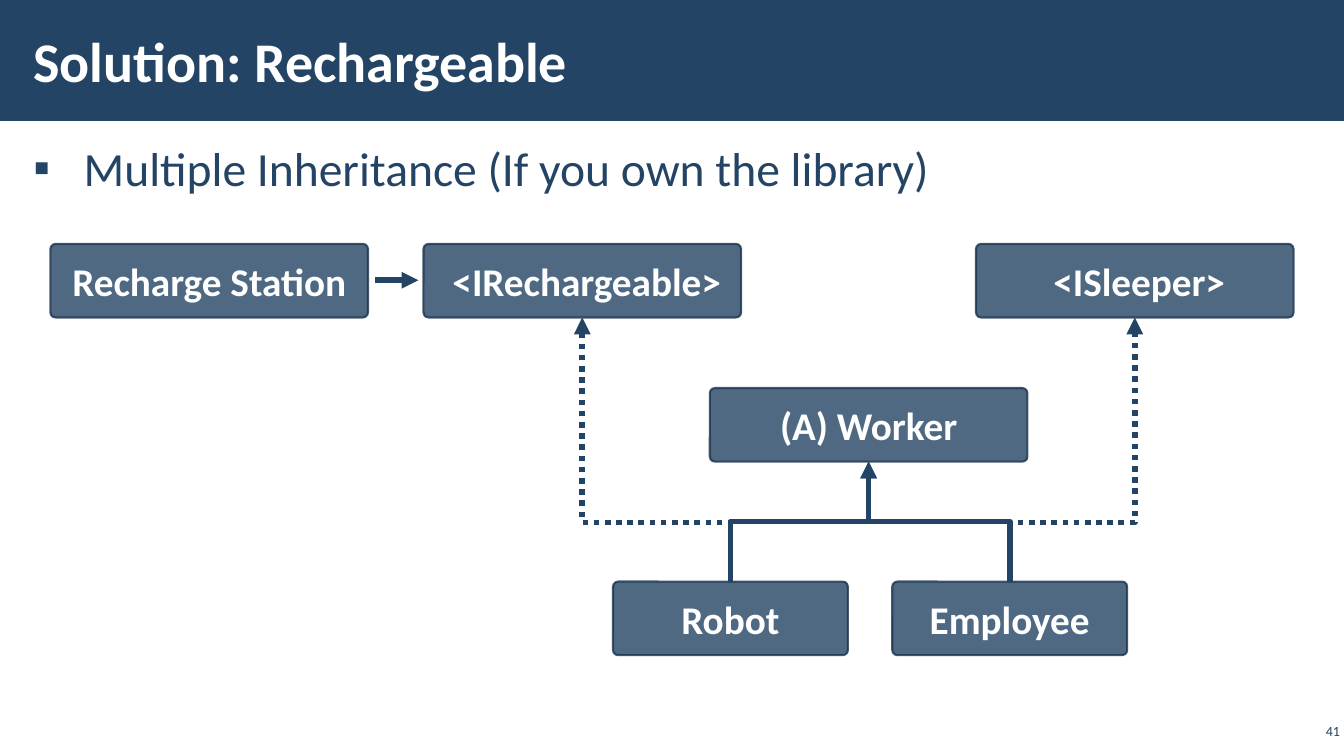
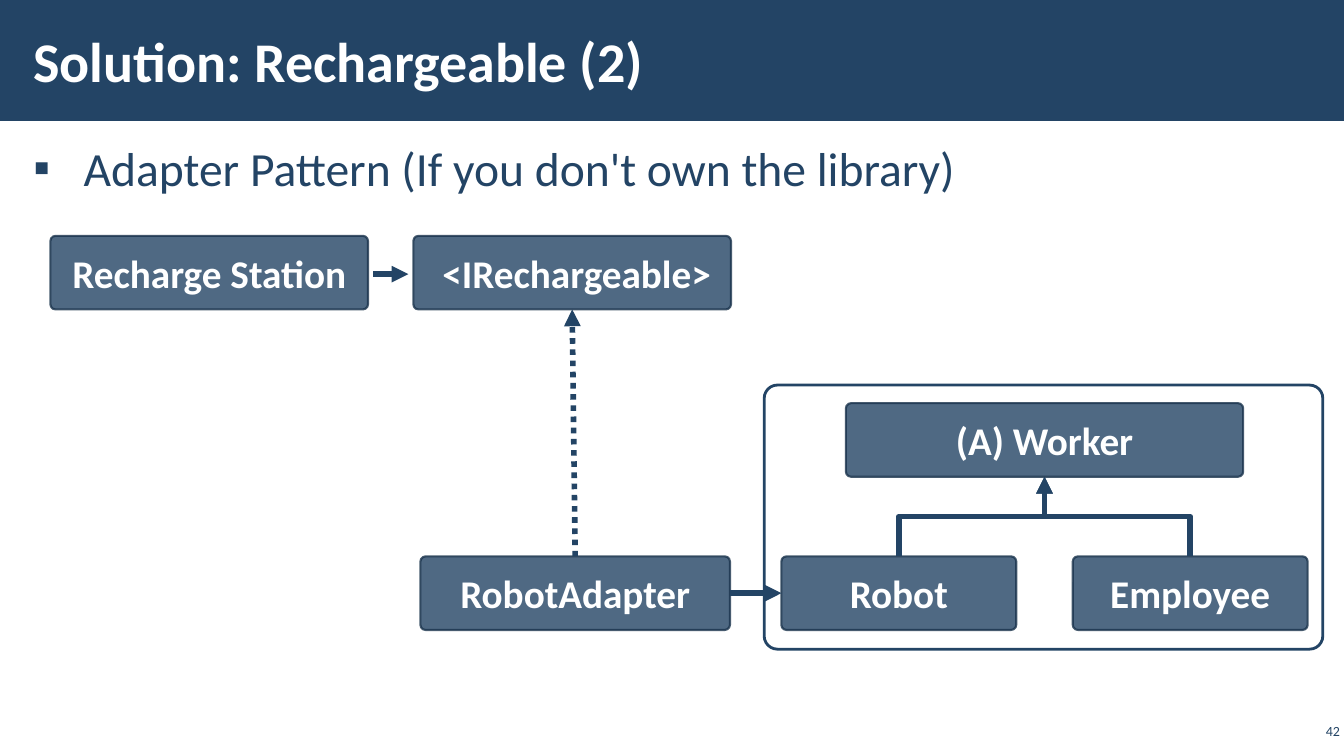
"""Builds two slides that solve the Rechargeable design exercise."""
from dataclasses import dataclass

from lxml import etree
from pptx import Presentation
from pptx.dml.color import RGBColor
from pptx.enum.dml import MSO_LINE
from pptx.enum.shapes import MSO_CONNECTOR, MSO_SHAPE
from pptx.enum.text import MSO_ANCHOR, MSO_AUTO_SIZE, PP_ALIGN
from pptx.oxml.ns import qn
from pptx.util import Inches, Pt

ROUNDED, RECTANGLE = MSO_SHAPE.ROUNDED_RECTANGLE, MSO_SHAPE.RECTANGLE
STRAIGHT, ELBOW = MSO_CONNECTOR.STRAIGHT, MSO_CONNECTOR.ELBOW
SOLID, DOTTED = MSO_LINE.SOLID, MSO_LINE.ROUND_DOT
LEFT, CENTER, RIGHT = PP_ALIGN.LEFT, PP_ALIGN.CENTER, PP_ALIGN.RIGHT
MIDDLE, TOP = MSO_ANCHOR.MIDDLE, MSO_ANCHOR.TOP
TOP_SITE, LEFT_SITE, BOTTOM_SITE, RIGHT_SITE = range(4)


@dataclass(frozen=True)
class Theme:
    navy: RGBColor = RGBColor(0x23, 0x44, 0x65)
    outline: RGBColor = RGBColor(0x1A, 0x33, 0x4C)
    white: RGBColor = RGBColor(0xFF, 0xFF, 0xFF)
    font: str = "Calibri"
    title: Pt = Pt(40)
    body: Pt = Pt(34)
    label: Pt = Pt(28)
    number: Pt = Pt(10)
    arrow: Pt = Pt(4)
    border: Pt = Pt(1.5)
    frame: Pt = Pt(2)
    opacity: str = "80000"


THEME = Theme()
BOX_HEIGHT = 0.73
FIRST_NUMBER = 41
SLIDES = [
    {
        "title": "Solution: Rechargeable",
        "point": "Multiple Inheritance (If you own the library)",
        "boxes": [
            ("(A) Worker", 7.04, 3.85, 3.15),
            ("Robot", 6.08, 5.77, 2.33),
            ("Employee", 8.85, 5.77, 2.33),
            (" <IRechargeable>", 4.2, 2.42, 3.15),
            ("Recharge Station", 0.5, 2.42, 3.15),
            (" <ISleeper>", 9.68, 2.42, 3.15),
        ],
        "station_arrow": (3.72, 4.15, 2.78),
        "links": [],
        "elbows": [
            ("Robot", "(A) Worker", SOLID, 50000),
            ("Robot", "<IRechargeable>", DOTTED, 22400),
            ("Employee", "(A) Worker", SOLID, 50000),
            ("Employee", "<ISleeper>", DOTTED, 22400),
        ],
        "frames": [],
    },
    {
        "title": "Solution: Rechargeable (2)",
        "point": "Adapter Pattern (If you don't own the library)",
        "boxes": [
            (" <IRechargeable>", 4.1, 2.34, 3.15),
            ("Recharge Station", 0.5, 2.34, 3.15),
            ("RobotAdapter", 4.17, 5.52, 3.07),
            ("(A) Worker", 8.39, 4, 3.94),
            ("Employee", 10.64, 5.52, 2.33),
            ("Robot", 7.75, 5.52, 2.33),
        ],
        "station_arrow": (3.7, 4.05, 2.72),
        "links": [
            ("RobotAdapter", TOP_SITE, "<IRechargeable>", BOTTOM_SITE, DOTTED),
            ("RobotAdapter", RIGHT_SITE, "Robot", LEFT_SITE, SOLID),
        ],
        "elbows": [
            ("Employee", "(A) Worker", SOLID, 50000),
            ("Robot", "(A) Worker", SOLID, 50000),
        ],
        "frames": [(7.58, 3.82, 5.54, 2.62)],
    },
]


def write_text(shape, text, size, color, alignment, anchor, bold=False, insets=(0.1, 0.05)):
    frame = shape.text_frame
    side, edge = map(Inches, insets)
    frame_format = {
        "text": text, "word_wrap": True, "auto_size": MSO_AUTO_SIZE.NONE, "vertical_anchor": anchor,
        "margin_left": side, "margin_right": side, "margin_top": edge, "margin_bottom": edge,
    }
    for name, value in frame_format.items():
        setattr(frame, name, value)
    paragraph = frame.paragraphs[0]
    paragraph.alignment = alignment
    font = paragraph.runs[0].font
    for name, value in {"name": THEME.font, "size": size, "bold": bold}.items():
        setattr(font, name, value)
    font.color.rgb = color
    return paragraph


def add_arrow(slide, kind, ends, dash):
    connector = slide.shapes.add_connector(kind, *map(Inches, ends))
    connector.line.color.rgb = THEME.navy
    connector.line.width = THEME.arrow
    connector.line.dash_style = dash
    properties = connector.element.spPr
    etree.SubElement(properties.find(qn("a:ln")), qn("a:tailEnd"), type="triangle")
    etree.SubElement(properties, qn("a:effectLst"))
    return connector


presentation = Presentation()
presentation.slide_width, presentation.slide_height = Inches(13.33), Inches(7.5)
layout = presentation.slide_layouts[1]
placements = [(0.21, 0.11, 10.4, 0.97), (0.21, 1.31, 12.92, 5.69)]
for index, placement in enumerate(placements):
    for name, value in zip(("left", "top", "width", "height"), placement):
        setattr(layout.placeholders[index], name, Inches(value))

slides = [presentation.slides.add_slide(layout) for content in SLIDES]
band = slides[0].shapes.add_shape(RECTANGLE, 0, 0, presentation.slide_width, Inches(1.2))
band.shadow.inherit = False
band.fill.solid()
band.fill.fore_color.rgb = THEME.navy
band.line.fill.background()
layout.shapes.element.insert(2, band.element)

for number, (slide, content) in enumerate(zip(slides, SLIDES), FIRST_NUMBER):
    write_text(slide.shapes.title, content["title"], THEME.title, THEME.white, LEFT, MIDDLE, True, (0.12, 0.04))
    point = write_text(slide.placeholders[1], content["point"], THEME.body, THEME.navy, LEFT, TOP, False, (0.12, 0.04))
    for name, value in {"line_spacing": 1.05, "space_before": Pt(0), "space_after": Pt(6)}.items():
        setattr(point, name, value)
    point_properties = point._p.get_or_add_pPr()
    point_properties.set("marL", str(Inches(0.5)))
    point_properties.set("indent", str(-Inches(0.5)))
    etree.SubElement(point_properties, qn("a:buChar"), char="▪")

    number_box = slide.shapes.add_textbox(*map(Inches, (12.86, 7.14, 0.47, 0.22)))
    write_text(number_box, str(number), THEME.number, THEME.navy, RIGHT, MIDDLE, False, (0.04, 0.04))

    boxes = {}
    for label, left, top, width in content["boxes"]:
        box = slide.shapes.add_shape(ROUNDED, *map(Inches, (left, top, width, BOX_HEIGHT)))
        box.adjustments[0] = 0.07
        box.shadow.inherit = False
        box.fill.solid()
        box.fill.fore_color.rgb = THEME.navy
        box.line.color.rgb = THEME.outline
        box.line.width = THEME.border
        for color in box.element.spPr.iter(qn("a:srgbClr")):
            etree.SubElement(color, qn("a:alpha"), val=THEME.opacity)
        write_text(box, label, THEME.label, THEME.white, CENTER, MIDDLE, True)
        boxes[label.strip()] = box

    start, end, level = content["station_arrow"]
    add_arrow(slide, STRAIGHT, (start, level, end, level), SOLID)

    for source, source_site, target, target_site, dash in content["links"]:
        link = add_arrow(slide, STRAIGHT, (0, 0, 1, 1), dash)
        link.begin_connect(boxes[source], source_site)
        link.end_connect(boxes[target], target_site)

    for source, target, dash, bend in content["elbows"]:
        elbow = add_arrow(slide, ELBOW, (0, 0, 1, 1), dash)
        elbow.begin_connect(boxes[source], TOP_SITE)
        elbow.end_connect(boxes[target], BOTTOM_SITE)
        run, rise = elbow.end_x - elbow.begin_x, elbow.begin_y - elbow.end_y
        middle_x, middle_y = (elbow.begin_x + elbow.end_x) // 2, (elbow.begin_y + elbow.end_y) // 2
        elbow.left, elbow.top = middle_x - rise // 2, middle_y - abs(run) // 2
        elbow.width, elbow.height = rise, abs(run)
        transform = elbow.element.spPr.find(qn("a:xfrm"))
        turn = {"rot": "5400000", "flipH": "1"} if run > 0 else {"rot": "16200000", "flipH": "0"}
        for name, value in {**turn, "flipV": "1"}.items():
            transform.set(name, value)
        guides = elbow.element.spPr.find(qn("a:prstGeom")).find(qn("a:avLst"))
        etree.SubElement(guides, qn("a:gd"), name="adj1", fmla=f"val {bend}")

    for placement in content["frames"]:
        library_frame = slide.shapes.add_shape(ROUNDED, *map(Inches, placement))
        library_frame.adjustments[0] = 0.05
        library_frame.shadow.inherit = False
        library_frame.fill.background()
        library_frame.line.color.rgb = THEME.navy
        library_frame.line.width = THEME.frame

presentation.save("out.pptx")
